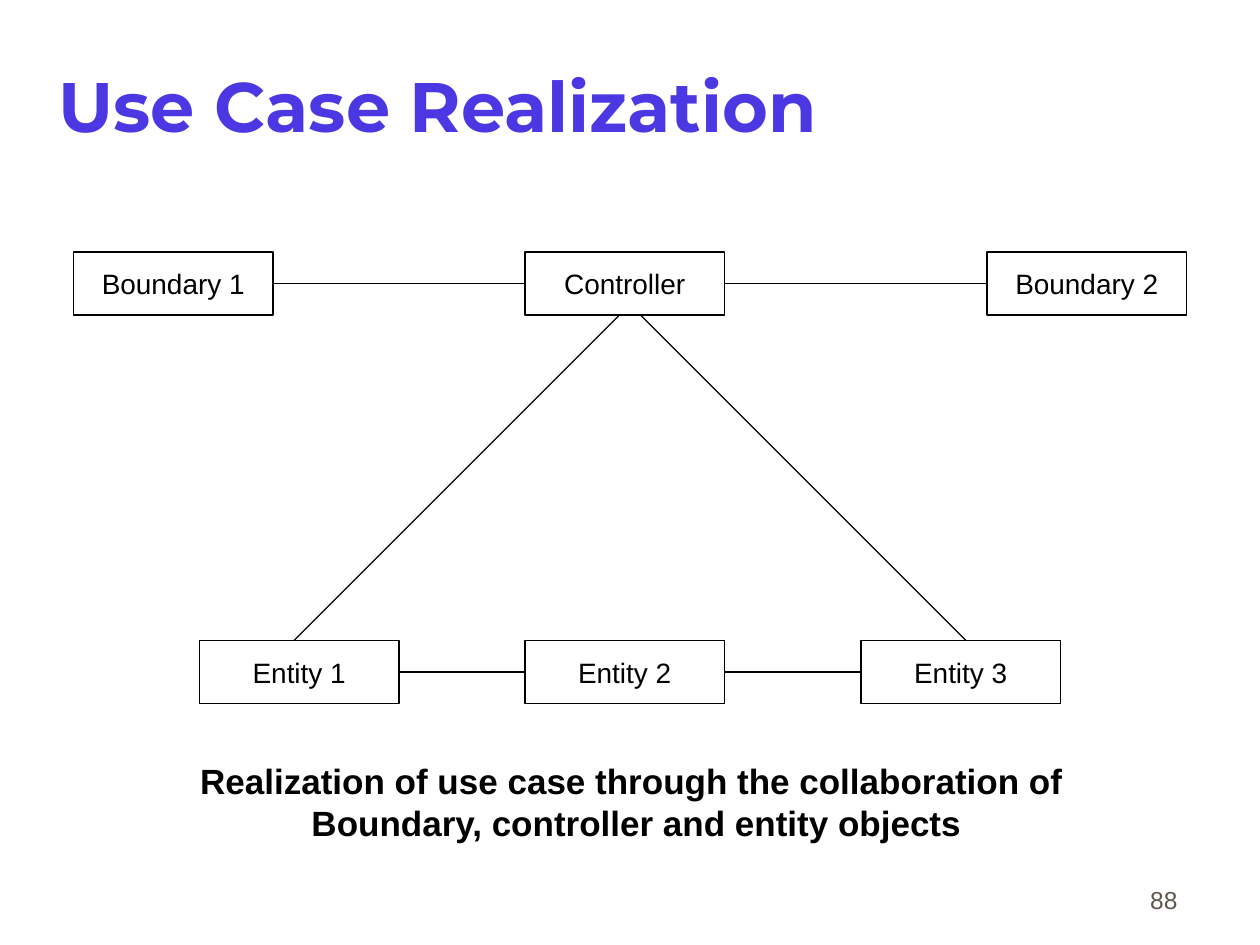
from lxml import etree
from pptx import Presentation
from pptx.dml.color import RGBColor
from pptx.enum import shapes, text
from pptx.oxml.ns import qn
from pptx.util import Pt

COLORS = {"title": "4C38E2", "ink": "000000", "number": "5E574E"}
BOX_W, BOX_H = 114, 36
TOP_ROW, BOTTOM_ROW = 144, 366
BOUNDARY_1, CONTROLLER, BOUNDARY_2 = 42, 300, 564
ENTITY_1, ENTITY_2, ENTITY_3 = 114, 300, 492


def color(name):
    return RGBColor.from_string(COLORS[name])


def write(sp, lines, size, ink="ink", font="Arial", bold=False,
          align=text.PP_ALIGN.CENTER, anchor=text.MSO_ANCHOR.MIDDLE,
          wrap=True, inset=7.2):
    tf = sp.text_frame
    tf.auto_size = text.MSO_AUTO_SIZE.NONE
    tf.word_wrap = wrap
    tf.vertical_anchor = anchor
    tf.margin_left = tf.margin_right = Pt(inset)
    tf.margin_top = tf.margin_bottom = Pt(3.6)
    for i, line in enumerate(lines):
        p = tf.paragraphs[0] if i == 0 else tf.add_paragraph()
        p.alignment = align
        p.space_before = Pt(0)
        r = p.add_run()
        r.text = line
        r.font.name = font
        r.font.size = Pt(size)
        r.font.bold = bold
        r.font.color.rgb = color(ink)


def add_title(s, label):
    sp = s.shapes.title
    sp.left, sp.top, sp.width, sp.height = Pt(32), Pt(15), Pt(612), Pt(90)
    write(sp, [label], 40, "title", "Montserrat", True,
          text.PP_ALIGN.LEFT, inset=1.44)


def add_text(s, left, top, width, height, lines, size, **style):
    sp = s.shapes.add_textbox(Pt(left), Pt(top), Pt(width), Pt(height))
    write(sp, lines, size, **style)


def add_box(s, left, top, label):
    sp = s.shapes.add_shape(shapes.MSO_SHAPE.RECTANGLE, Pt(left), Pt(top),
                            Pt(BOX_W), Pt(BOX_H))
    sp.shadow.inherit = False
    sp.fill.background()
    sp.line.color.rgb = color("ink")
    sp.line.width = Pt(0.75)
    write(sp, [label], 16, wrap=False)


def add_line(s, x1, y1, x2, y2):
    sp = s.shapes.add_connector(shapes.MSO_CONNECTOR.STRAIGHT,
                                Pt(x1), Pt(y1), Pt(x2), Pt(y2))
    sp.line.color.rgb = color("ink")
    sp.line.width = Pt(0.75)
    etree.SubElement(sp._element.spPr, qn("a:effectLst"))


def add_row(s, top, boxes):
    """Draw a row of boxes, each joined to the next."""
    for left, label in boxes:
        add_box(s, left, top, label)
    middle = top + BOX_H / 2
    for (left, _), (following, _) in zip(boxes, boxes[1:]):
        add_line(s, left + BOX_W, middle, following, middle)


def main():
    prs = Presentation()
    prs.slide_width, prs.slide_height = Pt(720), Pt(540)
    s = prs.slides.add_slide(prs.slide_layouts[5])
    add_title(s, "Use Case Realization")

    # Object rows
    add_row(s, TOP_ROW, [(BOUNDARY_1, "Boundary 1"),
                         (CONTROLLER, "Controller"),
                         (BOUNDARY_2, "Boundary 2")])
    add_row(s, BOTTOM_ROW, [(ENTITY_1, "Entity 1"), (ENTITY_2, "Entity 2"),
                            (ENTITY_3, "Entity 3")])

    # Controller to the outer entities
    controller_bottom = TOP_ROW + BOX_H
    add_line(s, 168, BOTTOM_ROW, 354, controller_bottom)
    add_line(s, 366, controller_bottom, 552, BOTTOM_ROW)

    # Caption
    add_text(s, 107, 430.5, 513.5, 55.5,
             ["Realization of use case through the collaboration of ",
              "Boundary, controller and entity objects"],
             20, bold=True, anchor=text.MSO_ANCHOR.TOP, wrap=False)

    # Slide number
    add_text(s, 530, 490, 150, 36, ["88"], 14, ink="number",
             align=text.PP_ALIGN.RIGHT, anchor=text.MSO_ANCHOR.BOTTOM)

    prs.save("out.pptx")


if __name__ == "__main__":
    main()
